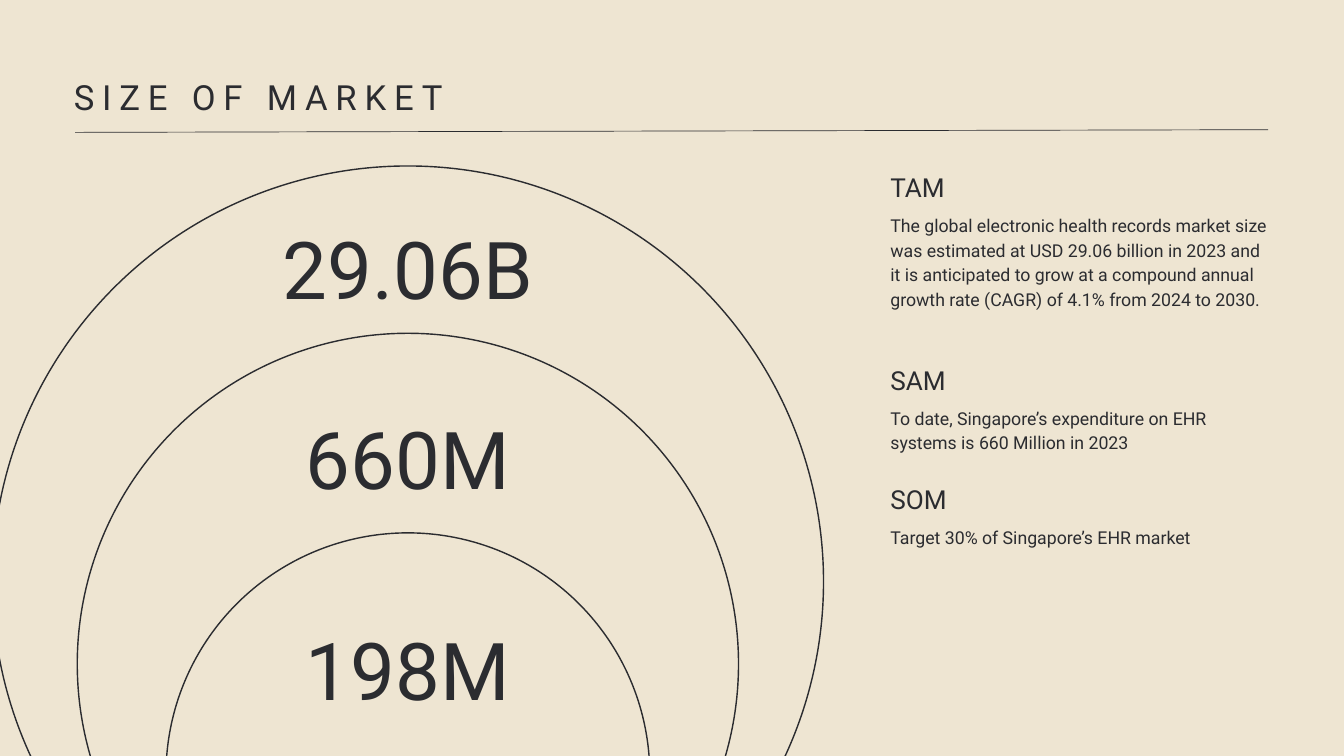
from dataclasses import dataclass

from lxml import etree
from pptx import Presentation
from pptx import util as u
from pptx.dml.color import RGBColor
from pptx.enum import shapes, text
from pptx.oxml import ns

COLORS = {"paper": "EEE5D2", "ink": "2B2C30"}
FONT = "Roboto"
CELL = u.Inches(20) // 200
COLUMNS, ROWS = 200, 112.5
CENTER = 60.7
NOTES_LEFT, NOTES_WIDTH = 132.5, 56.3


@dataclass(frozen=True)
class Style:
    size: float
    leading: float
    align: text.PP_ALIGN = text.PP_ALIGN.LEFT
    tracking: float = 0


@dataclass(frozen=True)
class Market:
    name: str
    note: str
    note_top: float
    note_height: float
    amount: str
    amount_top: float
    ring_top: float
    ring_size: float


TITLE = Style(37.1, 52, tracking=8.4)
AMOUNT = Style(85.4, 136.6, text.PP_ALIGN.CENTER)
HEADING = Style(28, 39.2)
BODY = Style(19, 26.6)

MARKETS = [
    Market(
        "TAM",
        "The global electronic health records market size was estimated at "
        "USD 29.06 billion in 2023 and it is anticipated to grow at a compound "
        "annual growth rate (CAGR) of 4.1% from 2024 to 2030.",
        24.7, 18, "29.06B", 28, 24.7, 123.7,
    ),
    Market(
        "SAM",
        "To date, Singapore’s expenditure on EHR systems is 660 Million in 2023",
        53.4, 7.1, "660M", 56.2, 49.6, 98.4,
    ),
    Market(
        "SOM",
        "Target 30% of Singapore’s EHR market",
        71.2, 3.4, "198M", 87.6, 79.3, 72,
    ),
]


def cells(count: float) -> int:
    return round(count * CELL)


def color(name: str) -> RGBColor:
    return RGBColor.from_string(COLORS[name])


def write(box, words: str, style: Style) -> None:
    frame = box.text_frame
    frame.word_wrap = True
    frame.auto_size = text.MSO_AUTO_SIZE.NONE
    frame.vertical_anchor = text.MSO_ANCHOR.TOP
    frame.margin_left = frame.margin_right = 0
    frame.margin_top = frame.margin_bottom = 0
    para = frame.paragraphs[0]
    para.alignment = style.align
    para.line_spacing = u.Pt(style.leading)
    span = para.add_run()
    span.text = words
    span.font.name = FONT
    span.font.size = u.Pt(style.size)
    span.font.color.rgb = color("ink")
    if style.tracking:
        span._r.get_or_add_rPr().set("spc", str(round(style.tracking * 100)))


def add_text(page, words: str, style: Style, left: float, top: float,
             width: float, height: float) -> None:
    box = page.shapes.add_textbox(*map(cells, (left, top, width, height)))
    write(box, words, style)


def add_title(page, words: str) -> None:
    title = page.shapes.title
    title.left, title.top = cells(11), cells(10.3)
    title.width, title.height = cells(177.5), cells(7.1)
    write(title, words, TITLE)


def add_rule(page) -> None:
    ends = map(cells, (11.2, 19.7, 188.7, 19.3))
    rule = page.shapes.add_connector(shapes.MSO_CONNECTOR.STRAIGHT, *ends)
    rule.line.color.rgb = color("ink")
    rule.line.width = u.Pt(0.75)
    etree.SubElement(rule._element.spPr, ns.qn("a:effectLst"))


def add_ring(page, top: float, size: float) -> None:
    area = map(cells, (CENTER - size / 2, top, size, size))
    ring = page.shapes.add_shape(shapes.MSO_SHAPE.OVAL, *area)
    ring.shadow.inherit = False
    ring.fill.background()
    ring.line.color.rgb = color("ink")
    ring.line.width = u.Pt(1.5)


def add_market(page, market: Market) -> None:
    add_ring(page, market.ring_top, market.ring_size)
    add_text(page, market.amount, AMOUNT, CENTER - 28, market.amount_top, 56, 17.7)
    add_text(page, market.name, HEADING, NOTES_LEFT, market.note_top, NOTES_WIDTH, 5.2)
    add_text(page, market.note, BODY, NOTES_LEFT, market.note_top + 6.7,
             NOTES_WIDTH, market.note_height)


def main() -> None:
    deck = Presentation()
    deck.slide_width, deck.slide_height = cells(COLUMNS), cells(ROWS)
    page = deck.slides.add_slide(deck.slide_layouts.get_by_name("Title Only"))
    page.background.fill.solid()
    page.background.fill.fore_color.rgb = color("paper")
    add_title(page, "SIZE OF MARKET")
    add_rule(page)
    for market in MARKETS:
        add_market(page, market)
    deck.save("out.pptx")


if __name__ == "__main__":
    main()
